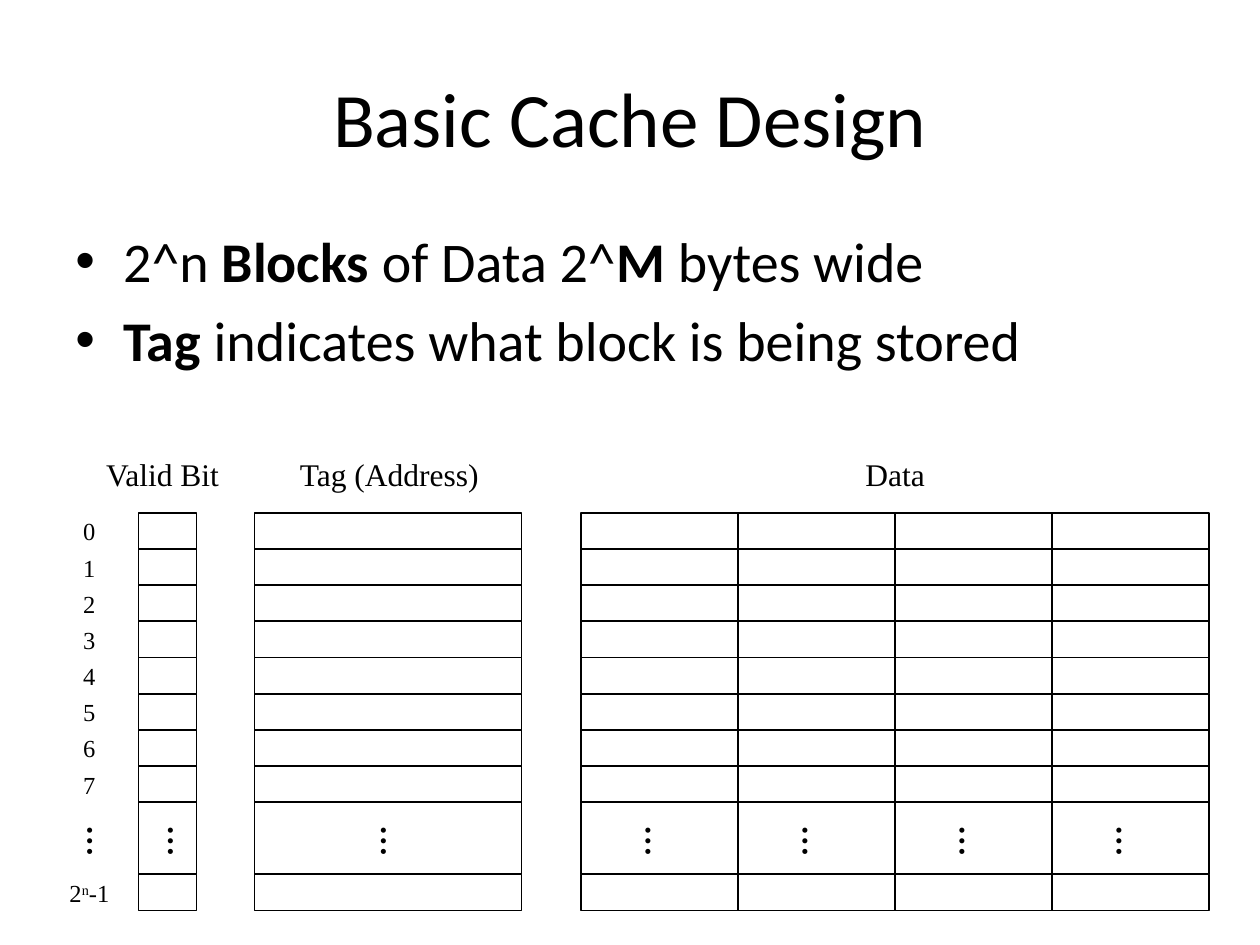
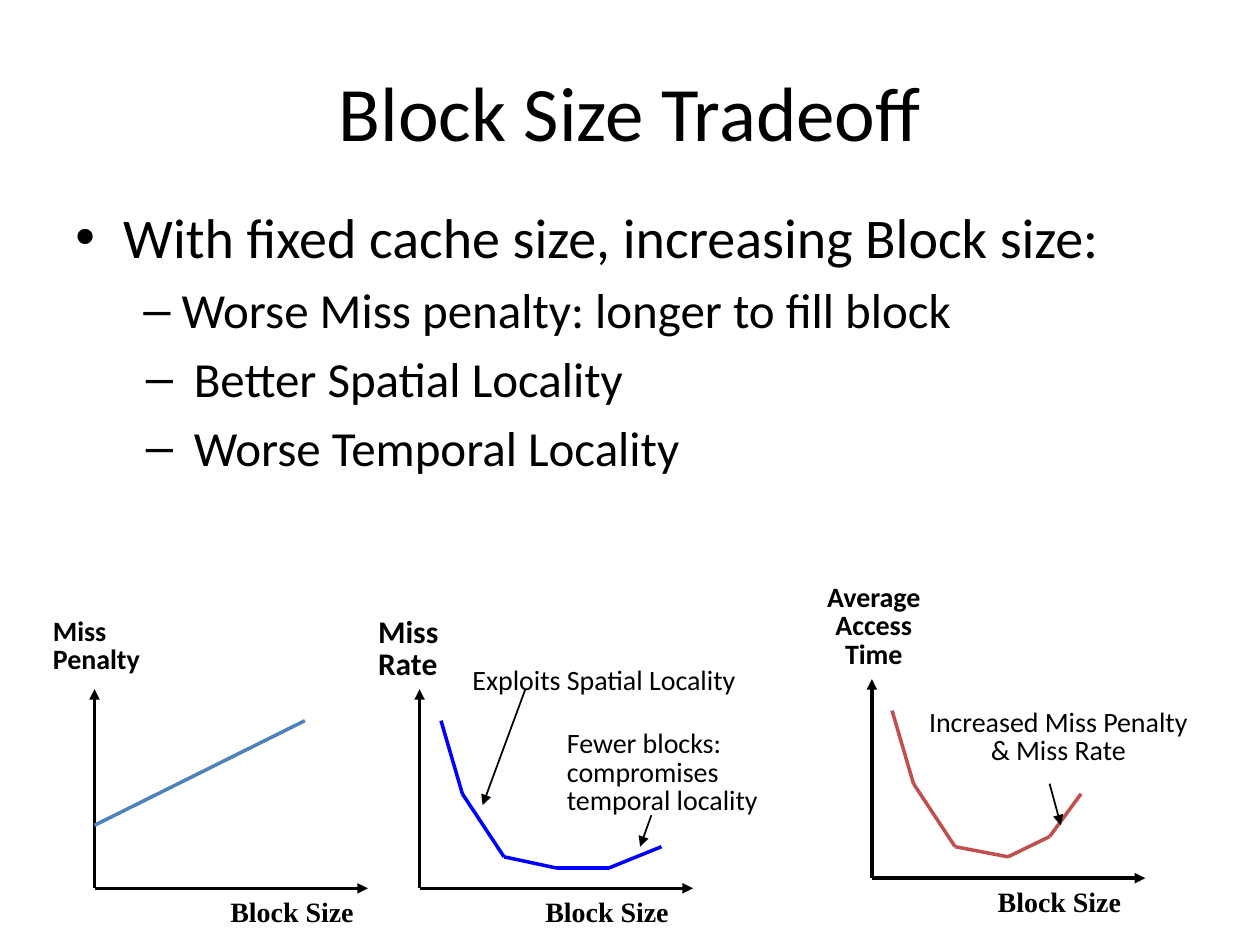
from itertools import pairwise

from lxml import etree
from pptx import Presentation
from pptx.dml.color import RGBColor
from pptx.enum.shapes import MSO_CONNECTOR, MSO_SHAPE
from pptx.enum.text import MSO_ANCHOR, MSO_AUTO_SIZE, PP_ALIGN
from pptx.oxml.ns import qn
from pptx.util import Pt

PX = 9144  # 100 px to the inch
TITLE_ONLY = 5
RECTANGLE = MSO_SHAPE.RECTANGLE
STRAIGHT = MSO_CONNECTOR.STRAIGHT
MIDDLE = MSO_ANCHOR.MIDDLE
GROW, FIXED = MSO_AUTO_SIZE.SHAPE_TO_FIT_TEXT, MSO_AUTO_SIZE.NONE
LEFT, CENTER = PP_ALIGN.LEFT, PP_ALIGN.CENTER

SANS, SERIF = "Calibri", "Times New Roman"
BLACK, WHITE = "000000", "FFFFFF"
PENALTY_BLUE, RATE_BLUE, TIME_RED = "4F81BD", "0000FF", "C0504D"

# Bullet styles: character, level, text size, left margin, hanging indent
MAIN = ("•", 0, 32, 38, 38)
DASH_NARROW = ("–", 1, 28, 75, 21)
DASH_WIDE = ("–", 1, 28, 94, 38)

# Cache table
TABLE_TOP, ROW_HEIGHT, PLAIN_ROWS = 407, 28.7, 8
DOTS_TOP = 648
DATA_LEFT, DATA_STEP = 461, 124.6


def px(*lengths):
    return [round(length * PX) for length in lengths]


def color(hex_code):
    return RGBColor.from_string(hex_code)


def add_span(para, text, size, font=SANS, bold=False, raised=False):
    span = para.add_run()
    span.text = text
    span.font.name, span.font.size, span.font.bold = font, Pt(size), bold
    span.font.color.rgb = color(BLACK)
    if raised:
        span._r.get_or_add_rPr().set("baseline", "30000")


def add_page(deck, title, top):
    page = deck.slides.add_slide(deck.slide_layouts[TITLE_ONLY])
    box = page.shapes.title
    box.left, box.top, box.width, box.height = px(50, top, 900, 125)
    box.text_frame.vertical_anchor = MIDDLE
    para = box.text_frame.paragraphs[0]
    para.alignment = CENTER
    add_span(para, title, 44)
    return page


def add_bullets(page, top, height, items):
    """Each item is a bullet style and a list of (text, bold) spans."""
    frame = page.shapes.add_textbox(*px(50, top, 900, height)).text_frame
    frame.word_wrap = True
    frame.auto_size = FIXED
    for index, (style, spans) in enumerate(items):
        mark, level, size, margin, hanging = style
        para = frame.add_paragraph() if index else frame.paragraphs[0]
        para.level = level
        para.space_before = Pt(size * 0.2)
        props = para._p.get_or_add_pPr()
        props.set("marL", str(margin * PX))
        props.set("indent", str(-hanging * PX))
        etree.SubElement(props, qn("a:buFont")).set("typeface", "Arial")
        etree.SubElement(props, qn("a:buChar")).set("char", mark)
        for text, bold in spans:
            add_span(para, text, size, bold=bold)


def add_label(page, place, lines, size, font=SERIF, bold=False, align=CENTER,
              tight=False):
    """Tight labels have small insets and close lines."""
    box = page.shapes.add_textbox(*px(*place))
    frame = box.text_frame
    frame.word_wrap = False
    frame.auto_size = GROW
    if tight:
        frame.margin_left = frame.margin_right = 7 * PX
        frame.margin_top = frame.margin_bottom = 3 * PX
    for index, line in enumerate(lines):
        para = frame.add_paragraph() if index else frame.paragraphs[0]
        para.alignment = align
        if tight:
            para.line_spacing = 0.85
        add_span(para, line, size, font, bold)
    return box


def add_cell(page, left, top, width, height):
    cell = page.shapes.add_shape(RECTANGLE, *px(left, top, width, height))
    cell.shadow.inherit = False
    cell.fill.solid()
    cell.fill.fore_color.rgb = color(WHITE)
    cell.line.color.rgb = color(BLACK)
    cell.line.width = Pt(1)


def add_column(page, left, width, dots_left):
    for row in range(PLAIN_ROWS):
        add_cell(page, left, TABLE_TOP + row * ROW_HEIGHT, width, ROW_HEIGHT)
    gap_top = TABLE_TOP + PLAIN_ROWS * ROW_HEIGHT
    add_cell(page, left, gap_top, width, 2 * ROW_HEIGHT)
    add_cell(page, left, gap_top + 2 * ROW_HEIGHT, width, ROW_HEIGHT)
    add_dots(page, dots_left)


def add_dots(page, left):
    add_label(page, (left, DOTS_TOP, 45, 40), ["…"], 18, bold=True).rotation = 90


def add_line(page, start, end, hex_code=BLACK, width=2, arrow=False):
    line = page.shapes.add_connector(STRAIGHT, *px(*start, *end))
    line.line.color.rgb = color(hex_code)
    line.line.width = Pt(width)
    if arrow:
        tip = etree.SubElement(line.line._get_or_add_ln(), qn("a:tailEnd"))
        tip.set("type", "triangle")
    etree.SubElement(line._element.spPr, qn("a:effectLst"))


def add_graph(page, origin, points, hex_code, caption_left):
    x, y = origin
    add_line(page, origin, (x, y - 158), arrow=True)
    add_line(page, origin, (x + 217, y), arrow=True)
    for start, end in pairwise(points):
        add_line(page, start, end, hex_code)
    add_label(page, (caption_left, y, 118, 36), ["Block Size"], 16, bold=True,
              align=LEFT)


def add_note(page, place, lines, size=16, bold=False, align=LEFT):
    add_label(page, place, lines, size, SANS, bold, align, tight=True)


def build_cache_design(deck):
    page = add_page(deck, "Basic Cache Design", 30)
    add_bullets(page, 175, 167, [
        (MAIN, [("2^n ", False), ("Blocks", True), (" of Data 2^", False),
                ("M", True), (" bytes wide", False)]),
        (MAIN, [("Tag", True), (" indicates what block is being stored", False)]),
    ])

    # Row numbers
    for row in range(PLAIN_ROWS):
        add_label(page, (56, 405 + row * ROW_HEIGHT, 30, 33), [str(row)], 14)
    add_dots(page, 57)
    last = add_label(page, (45, 692, 52, 33), ["2"], 14)
    para = last.text_frame.paragraphs[0]
    add_span(para, "n", 14, SERIF, raised=True)
    add_span(para, "-1", 14, SERIF)

    # Columns and their headings
    add_column(page, 110, 46, 121)
    add_column(page, 202, 212, 290)
    for block in range(4):
        left = DATA_LEFT + block * DATA_STEP
        add_column(page, left, DATA_STEP, left + 39)
    for left, width, heading in ((73, 112, "Valid Bit"),
                                 (227, 164, "Tag (Address)"),
                                 (677, 67, "Data")):
        add_label(page, (left, 356, width, 40), [heading], 18)


def build_block_size_tradeoff(deck):
    page = add_page(deck, "Block Size Tradeoff", 25)
    add_bullets(page, 156, 278, [
        (MAIN, [("With fixed cache size, increasing Block size:", False)]),
        (DASH_NARROW, [(" Worse Miss penalty: longer to fill block", False)]),
        (DASH_WIDE, [("Better Spatial Locality", False)]),
        (DASH_WIDE, [("Worse Temporal Locality", False)]),
    ])

    # Miss penalty
    add_graph(page, (75, 705), [(75, 655), (242, 572)], PENALTY_BLUE, 173)
    add_note(page, (35, 488, 93, 51), ["Miss", "Penalty"], bold=True)

    # Miss rate
    add_graph(page, (333, 705),
              [(350, 572), (367, 630), (400, 680), (442, 689), (483, 689),
               (525, 672)], RATE_BLUE, 423)
    add_note(page, (293, 487, 69, 57), ["Miss", "Rate"], 18, bold=True)
    add_line(page, (417, 547), (383, 639), width=1, arrow=True)
    add_note(page, (368, 527, 247, 28), ["Exploits Spatial Locality"])
    add_line(page, (517, 647), (508, 672), width=1, arrow=True)
    add_note(page, (443, 577, 174, 74),
             ["Fewer blocks:", "compromises", "temporal locality"])

    # Average access time
    add_graph(page, (692, 697),
              [(708, 564), (725, 622), (758, 672), (800, 680), (833, 664),
               (858, 630)], TIME_RED, 782)
    add_note(page, (643, 461, 101, 74), ["Average", "Access", "Time"],
             bold=True, align=CENTER)
    add_line(page, (833, 622), (842, 655), width=1, arrow=True)
    add_note(page, (718, 560, 244, 51),
             ["Increased Miss Penalty", "& Miss Rate"], align=CENTER)


def main():
    deck = Presentation()
    deck.slide_width, deck.slide_height = px(1000, 750)
    build_cache_design(deck)
    build_block_size_tradeoff(deck)
    deck.save("out.pptx")


if __name__ == "__main__":
    main()
